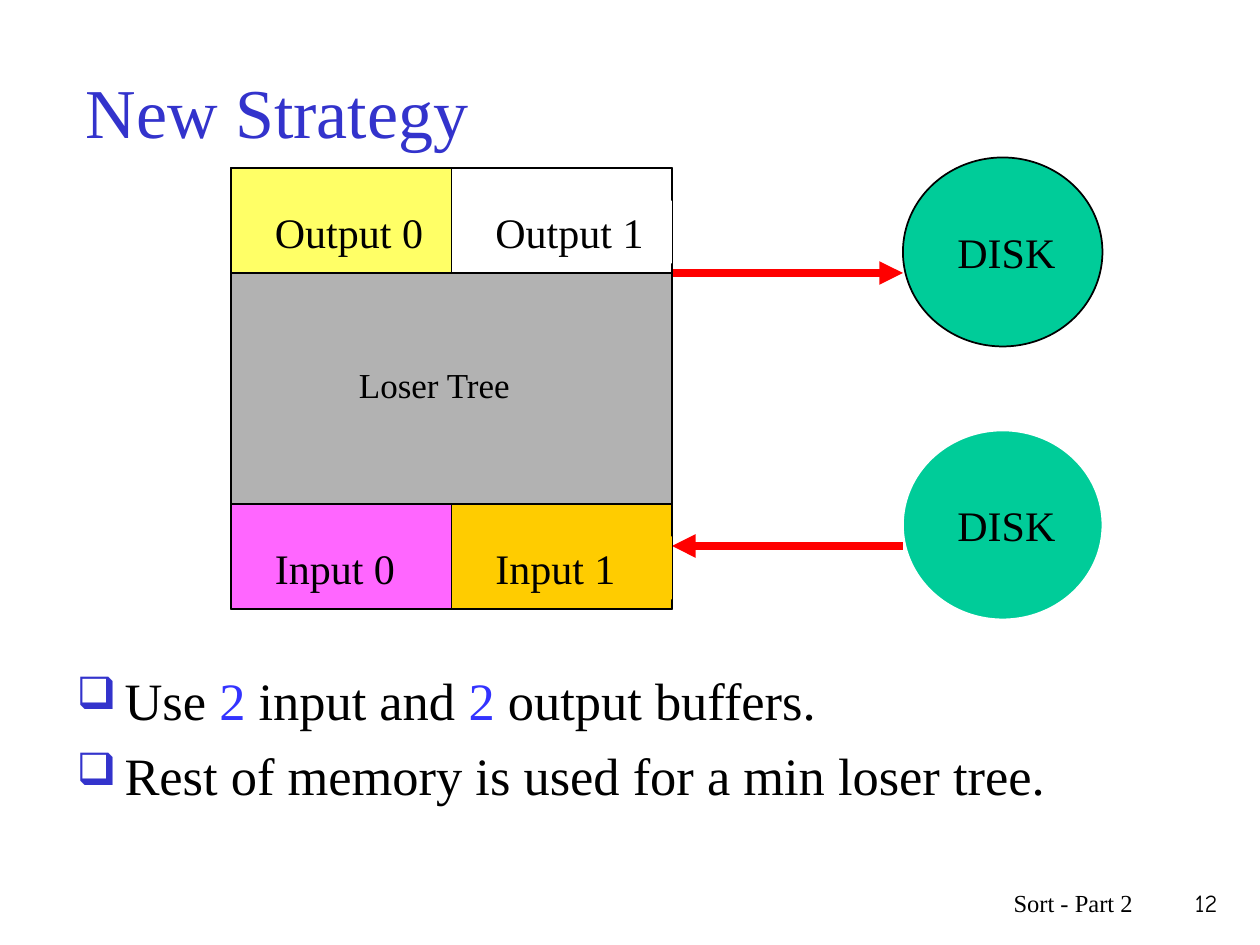
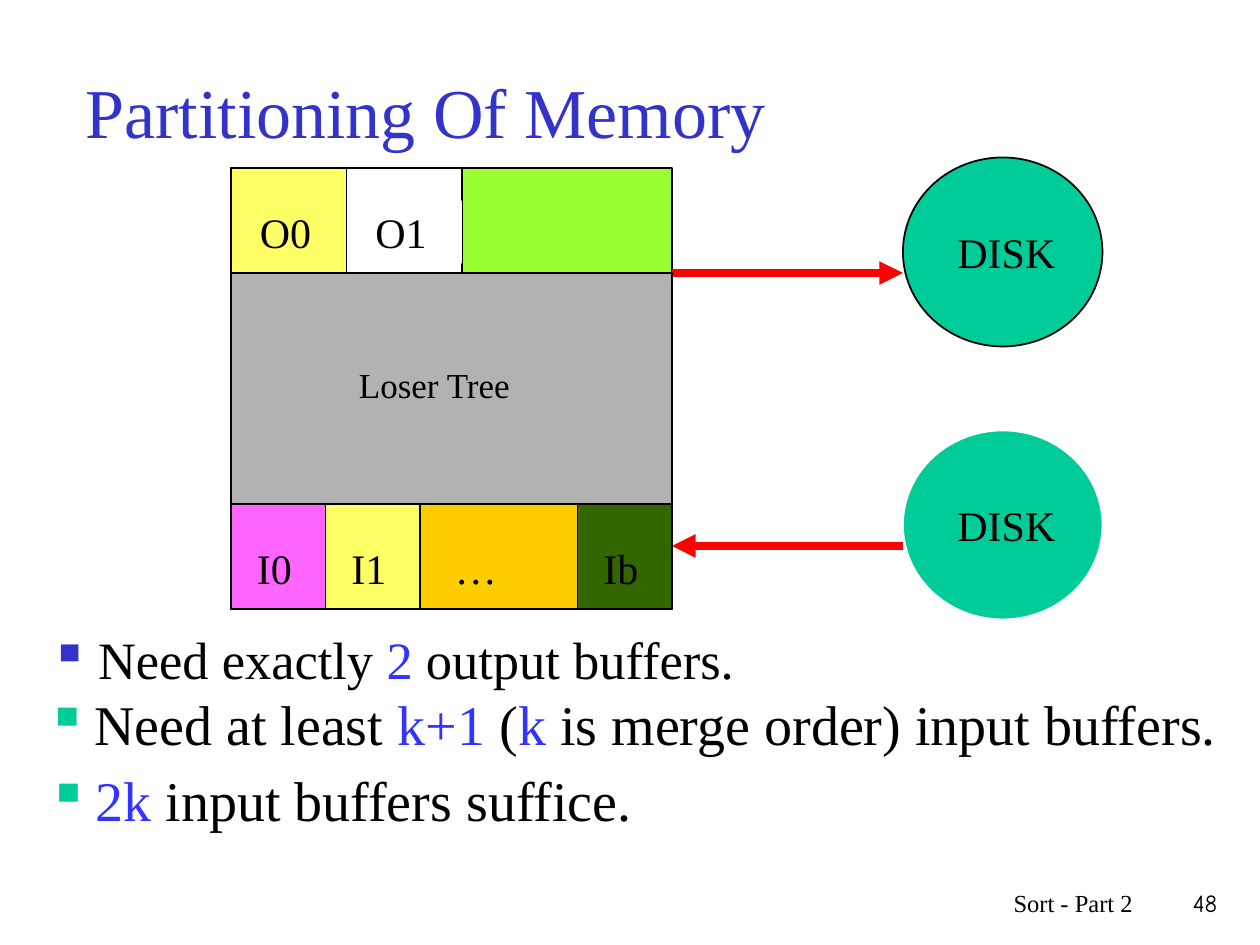
"""Two slides on memory buffers for external sorting with a loser tree."""
import pptx
import pptx.dml.color
import pptx.enum.shapes
import pptx.enum.text
import pptx.oxml.ns
import pptx.util
from lxml import etree

RGB = pptx.dml.color.RGBColor
SHAPES = pptx.enum.shapes.MSO_SHAPE
ALIGN = pptx.enum.text.PP_ALIGN
ANCHOR = pptx.enum.text.MSO_ANCHOR
qn = pptx.oxml.ns.qn

BLACK = RGB(0x00, 0x00, 0x00)
WHITE = RGB(0xFF, 0xFF, 0xFF)
RED = RGB(0xFF, 0x00, 0x00)
INDIGO = RGB(0x33, 0x33, 0xCC)
BLUE = RGB(0x33, 0x33, 0xFF)
TEAL = RGB(0x00, 0xCC, 0x99)
LIME = RGB(0x99, 0xFF, 0x33)
YELLOW = RGB(0xFF, 0xFF, 0x66)
PINK = RGB(0xFF, 0x66, 0xFF)
ORANGE = RGB(0xFF, 0xCC, 0x00)
GREEN = RGB(0x33, 0x66, 0x00)
GREY = RGB(0xB2, 0xB2, 0xB2)
SERIF = "Times New Roman"
NUMBER_FONT = "Comic Neue"
FOOTER = "Sort - Part 2"

# Buffers: label, width in grid units, colour, whether the label is filled.
# Notes: box in inches, size, line spacing, bullet, its colour and scale, lines;
# asterisks enclose the accented words.
SLIDES = [
    {
        "title": "New Strategy",
        "number": "12",
        "outputs": [("Output 0", 21, YELLOW, True), ("Output 1", 21, WHITE, True)],
        "inputs": [("Input 0", 21, PINK, False), ("Input 1", 21, ORANGE, True)],
        "notes": [
            ((0.51, 5.25, 9.09, 1.33), 30, 1, "❑", INDIGO, 85,
             ["Use *2* input and *2* output buffers.",
              "Rest of memory is used for a min loser tree."]),
        ],
    },
    {
        "title": "Partitioning Of Memory",
        "number": "48",
        "outputs": [("O0", 11, YELLOW, True), ("O1", 11, WHITE, True)],
        "inputs": [("I0", 9, PINK, False), ("I1", 9, YELLOW, False),
                   ("…", 15, ORANGE, True), ("Ib", 9, GREEN, False)],
        "notes": [
            ((0.3, 4.93, 9.5, 0.67), 30, 1, "▪", INDIGO, 100,
             ["Need exactly *2* output buffers."]),
            ((0.27, 5.48, 9.73, 0.58), 32, 0.9, "▪", TEAL, 100,
             ["Need at least *k+1* (*k* is merge order) input buffers."]),
            ((0.28, 6.03, 5.28, 0.75), 32, 1, "▪", TEAL, 100,
             ["*2k* input buffers suffice."]),
        ],
    },
]

UNIT = 1 / 12
MEMORY_LEFT, MEMORY_TOP, MEMORY_SIZE = 22, 16, 42
BUFFER_HEIGHT = 10
TREE_TOP = MEMORY_TOP + BUFFER_HEIGHT
TREE_HEIGHT = MEMORY_SIZE - 2 * BUFFER_HEIGHT
INPUT_TOP = TREE_TOP + TREE_HEIGHT
MEMORY_RIGHT = MEMORY_LEFT + MEMORY_SIZE
DISK_LEFT, DISK_WIDTH, DISK_HEIGHT = 86, 19, 18
# Disk top, outline, arrow height, arrowhead end
DISKS = [(41, WHITE, 52, "headEnd"), (15, BLACK, 26, "tailEnd")]


def inches(*lengths):
    return [pptx.util.Inches(length) for length in lengths]


def grid(*units):
    return inches(*(unit * UNIT for unit in units))


def style(paragraph, size, color=BLACK, font=SERIF):
    for run in paragraph.runs:
        run.font.size = pptx.util.Pt(size)
        run.font.name = font
        run.font.color.rgb = color


def add_block(slide, kind, box, fill, outline):
    block = slide.shapes.add_shape(kind, *grid(*box))
    block.shadow.inherit = False
    block.fill.solid()
    block.fill.fore_color.rgb = fill
    block.line.color.rgb = outline
    block.line.width = pptx.util.Pt(1)


def add_text(slide, box, text, size, font=SERIF, align=ALIGN.LEFT, fill=None):
    words = slide.shapes.add_textbox(*box)
    words.text_frame.word_wrap = True
    words.text_frame.text = text
    paragraph = words.text_frame.paragraphs[0]
    paragraph.alignment = align
    style(paragraph, size, font=font)
    if fill is not None:
        words.fill.solid()
        words.fill.fore_color.rgb = fill


def add_arrow(slide, height, head):
    arrow = slide.shapes.add_connector(
        pptx.enum.shapes.MSO_CONNECTOR.STRAIGHT,
        *grid(MEMORY_RIGHT, height, DISK_LEFT, height))
    arrow.line.color.rgb = RED
    arrow.line.width = pptx.util.Pt(4.5)
    etree.SubElement(arrow.line._get_or_add_ln(), qn("a:" + head), type="triangle")
    etree.SubElement(arrow._element.spPr, qn("a:effectLst"))


def add_buffers(slide, top, buffers):
    left = MEMORY_LEFT
    for label, width, color, filled in buffers:
        add_block(slide, SHAPES.RECTANGLE, (left, top, width, BUFFER_HEIGHT), color, BLACK)
        add_text(slide, grid(left + width / 7, top + 3.1, width * 6 / 7, 6),
                 label, 24, fill=color if filled else None)
        left += width


def add_memory(slide, outputs, inputs):
    add_block(slide, SHAPES.RECTANGLE,
              (MEMORY_LEFT, MEMORY_TOP, MEMORY_SIZE, MEMORY_SIZE), LIME, BLACK)
    for top, outline, arrow_height, head in DISKS:
        add_block(slide, SHAPES.OVAL, (DISK_LEFT, top, DISK_WIDTH, DISK_HEIGHT), TEAL, outline)
        add_text(slide, grid(DISK_LEFT + 4, top + 6, 16, 6), "DISK", 24)
        add_arrow(slide, arrow_height, head)
    add_buffers(slide, INPUT_TOP, inputs)
    add_buffers(slide, MEMORY_TOP, outputs)
    add_block(slide, SHAPES.RECTANGLE,
              (MEMORY_LEFT, TREE_TOP, MEMORY_SIZE, TREE_HEIGHT), GREY, BLACK)
    add_text(slide, grid(MEMORY_LEFT + 11, TREE_TOP + 8, 22, 5), "Loser Tree", 20)


def add_bullet(paragraph, bullet, color, scale):
    properties = paragraph._p.get_or_add_pPr()
    indent = pptx.util.Inches(0.38)
    properties.set("marL", str(indent))
    properties.set("indent", str(-indent))
    bullet_color = etree.SubElement(properties, qn("a:buClr"))
    etree.SubElement(bullet_color, qn("a:srgbClr"), val=str(color))
    etree.SubElement(properties, qn("a:buSzPct"), val=str(scale * 1000))
    etree.SubElement(properties, qn("a:buChar"), char=bullet)


def add_notes(slide, box, size, spacing, bullet, color, scale, lines):
    frame = slide.shapes.add_textbox(*inches(*box)).text_frame
    frame.word_wrap = True
    for index, line in enumerate(lines):
        paragraph = frame.add_paragraph() if index else frame.paragraphs[0]
        paragraph.line_spacing = spacing
        paragraph.space_before = pptx.util.Pt(7 if index else 0)
        add_bullet(paragraph, bullet, color, scale)
        for part, words in enumerate(line.split("*")):
            if words:
                run = paragraph.add_run()
                run.text = words
                run.font.size = pptx.util.Pt(size)
                run.font.name = SERIF
                run.font.color.rgb = BLUE if part % 2 else BLACK


def add_title(slide, text):
    title = slide.shapes.title
    title.left, title.top, title.width, title.height = inches(0.58, 0.25, 8.5, 1.25)
    title.text_frame.text = text
    title.text_frame.vertical_anchor = ANCHOR.MIDDLE
    title.text_frame.paragraphs[0].alignment = ALIGN.LEFT
    style(title.text_frame.paragraphs[0], 40, INDIGO)


def main():
    deck = pptx.Presentation()
    deck.slide_width, deck.slide_height = inches(10, 7.5)
    for content in SLIDES:
        slide = deck.slides.add_slide(deck.slide_layouts.get_by_name("Title Only"))
        add_title(slide, content["title"])
        add_memory(slide, content["outputs"], content["inputs"])
        for note in content["notes"]:
            add_notes(slide, *note)
        add_text(slide, inches(9.08, 7, 0.68, 0.5), content["number"], 14,
                 NUMBER_FONT, ALIGN.RIGHT)
        add_text(slide, inches(5.92, 7, 3.17, 0.5), FOOTER, 14, align=ALIGN.RIGHT)
    deck.save("out.pptx")


if __name__ == "__main__":
    main()
